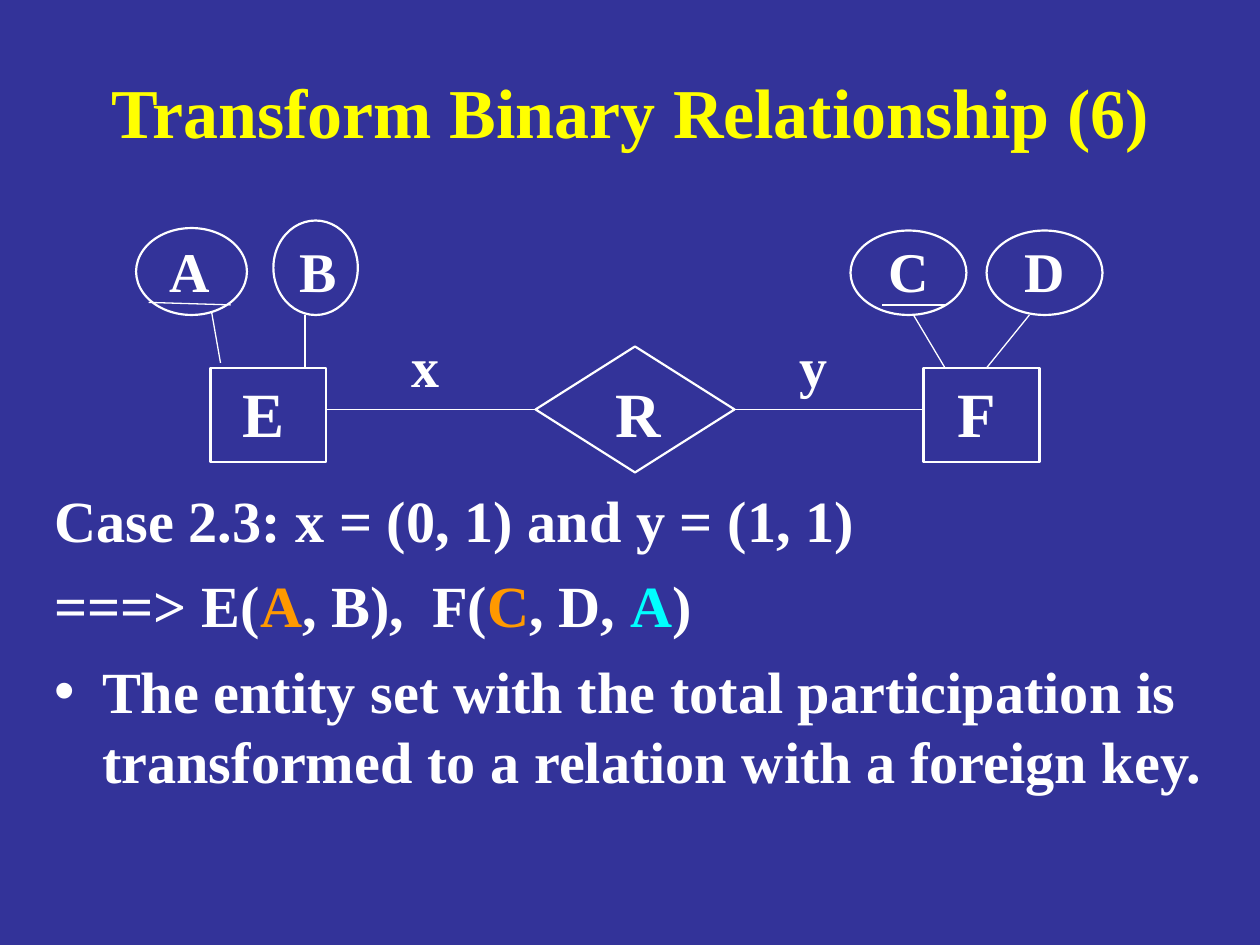
from lxml.etree import SubElement
from pptx import Presentation
from pptx.dml.color import RGBColor
from pptx.enum.shapes import MSO_CONNECTOR, MSO_SHAPE
from pptx.enum.text import MSO_ANCHOR, MSO_AUTO_SIZE, PP_ALIGN
from pptx.oxml.ns import qn
from pptx.util import Inches, Pt

COLORS = {"back": "333399", "title": "FFFF00", "text": "FFFFFF",
          "key": "FF9900", "foreign": "00FFFF"}


def color(name):
    return RGBColor.from_string(COLORS[name])


def style(para, size, name="text", align=PP_ALIGN.LEFT):
    para.alignment = align
    font = para.font
    font.name, font.size, font.bold = "Times New Roman", Pt(size), True
    font.color.rgb = color(name)


deck = Presentation()
deck.slide_width, deck.slide_height = Inches(10), Inches(7.5)
slide = deck.slides.add_slide(deck.slide_layouts[1])
slide.background.fill.solid()
slide.background.fill.fore_color.rgb = color("back")
shapes = slide.shapes

# Title
title = shapes.title
title.left, title.top = Inches(0.75), Inches(0.42)
title.width, title.height = Inches(8.5), Inches(0.92)
frame = title.text_frame
frame.text = "Transform Binary Relationship (6)"
frame.vertical_anchor = MSO_ANCHOR.MIDDLE
frame.auto_size = MSO_AUTO_SIZE.NONE
style(frame.paragraphs[0], 40, "title", PP_ALIGN.CENTER)

# Case, resulting relations and rule: runs of (text, color)
body = slide.placeholders[1]
body.left, body.top = Inches(0.33), Inches(3.79)
body.width, body.height = Inches(9.33), Inches(3.38)
frame = body.text_frame
frame.auto_size = MSO_AUTO_SIZE.NONE
lines = [
    [("Case 2.3: x = (0, 1) and y = (1, 1)", "text")],
    [("===> E(", "text"), ("A", "key"), (", B),\tF(", "text"),
     ("C", "key"), (", D, ", "text"), ("A", "foreign"), (")", "text")],
    [("The entity set with the total participation is transformed "
      "to a relation with a foreign key.", "text")],
]
for i, runs in enumerate(lines):
    para = frame.add_paragraph() if i else frame.paragraphs[0]
    props = para._p.get_or_add_pPr()
    if i == 2:
        props.set("marL", str(Inches(0.38)))
        props.set("indent", str(Inches(-0.38)))
        tint = SubElement(props, qn("a:buClr"))
        SubElement(tint, qn("a:srgbClr")).set("val", COLORS["text"])
        SubElement(props, qn("a:buChar")).set("char", "•")
    else:
        props.set("marL", "0")
        props.set("indent", "0")
        SubElement(props, qn("a:buNone"))
        stops = SubElement(props, qn("a:tabLst"))
        stop = SubElement(stops, qn("a:tab"))
        stop.set("pos", str(Inches(3)))
        stop.set("algn", "l")
    para.space_before = Pt(9 if i else 0)
    style(para, 33.3)
    for text, tone in runs:
        run = para.add_run()
        run.text = text
        if tone != "text":
            run.font.color.rgb = color(tone)

# Entities, relationship and attributes
RECT, OVAL, RHOMB = MSO_SHAPE.RECTANGLE, MSO_SHAPE.OVAL, MSO_SHAPE.DIAMOND
nodes = [
    (RECT, 1.67, 2.92, 0.92, 0.75), (RECT, 7.33, 2.92, 0.92, 0.75),
    (RHOMB, 4.25, 2.75, 1.58, 1),
    (OVAL, 1.08, 1.81, 0.88, 0.69), (OVAL, 2.17, 1.75, 0.67, 0.75),
    (OVAL, 6.75, 1.83, 0.92, 0.67), (OVAL, 7.83, 1.83, 0.92, 0.67),
]
for kind, *box in nodes:
    node = shapes.add_shape(kind, *map(Inches, box))
    node.shadow.inherit = False
    node.fill.background()
    node.line.color.rgb = color("text")
    node.line.width = Pt(1.25)

# Links between nodes, then key underlines
links = [
    (2.58, 3.25, 4.25, 3.25), (5.83, 3.25, 7.33, 3.25),
    (1.75, 2.88, 1.68, 2.48), (2.42, 2.92, 2.42, 2.5),
    (7.25, 2.5, 7.5, 2.92), (8.17, 2.5, 7.83, 2.92),
    (1.18, 2.4, 1.83, 2.42), (7, 2.42, 7.5, 2.42),
]
for ends in links:
    link = shapes.add_connector(MSO_CONNECTOR.STRAIGHT, *map(Inches, ends))
    link.line.color.rgb = color("text")
    link.line.width = Pt(0.75)
    SubElement(link._element.spPr, qn("a:effectLst"))

# Labels of nodes and cardinalities, one row per height and size
rows = [
    (2.92, 0.7, 36, {"E": 1.83, "R": 4.79, "F": 7.5}),
    (1.83, 0.64, 32, {"A": 1.25, "B": 2.28, "C": 6.95, "D": 8.03}),
    (2.58, 0.64, 32, {"x": 3.17, "y": 6.25}),
]
for top, height, size, names in rows:
    for text, left in names.items():
        label = shapes.add_textbox(Inches(left), Inches(top),
                                   Inches(0.6), Inches(height))
        label.text_frame.word_wrap = True
        label.text_frame.text = text
        style(label.text_frame.paragraphs[0], size)

deck.save("out.pptx")
